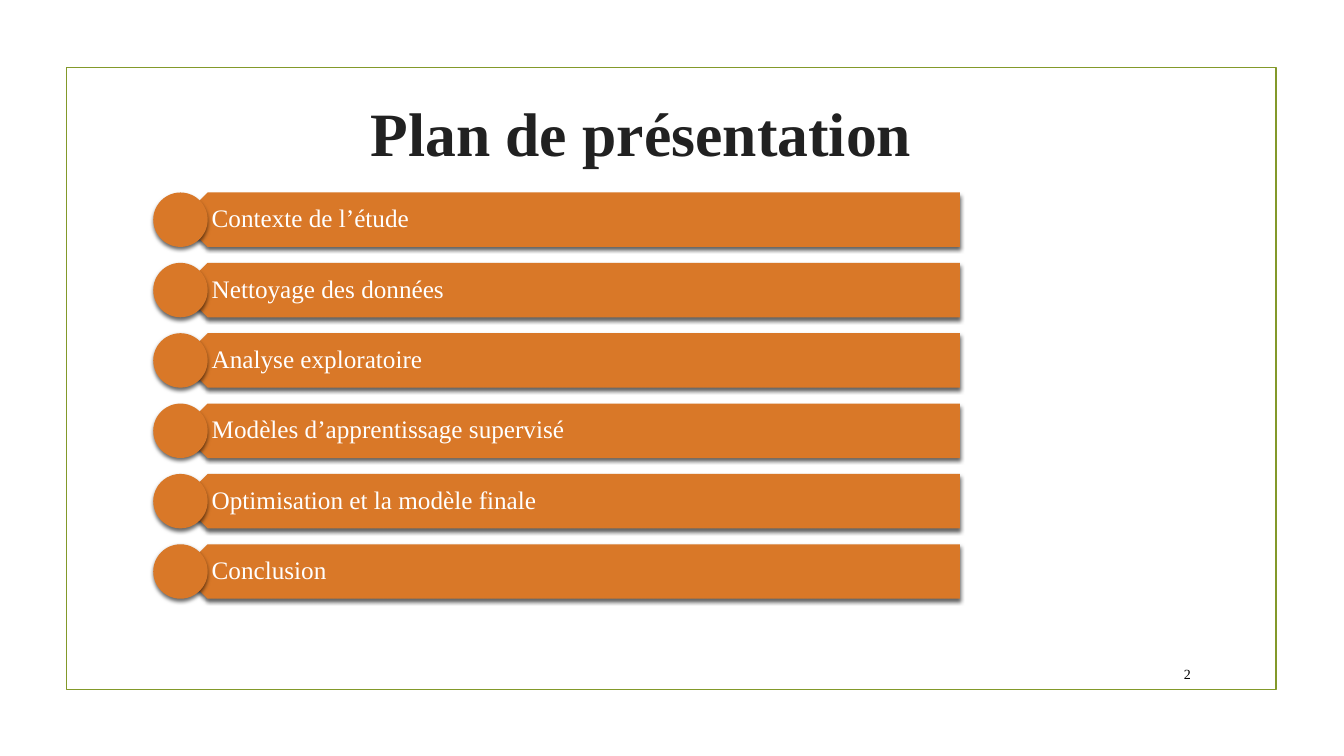
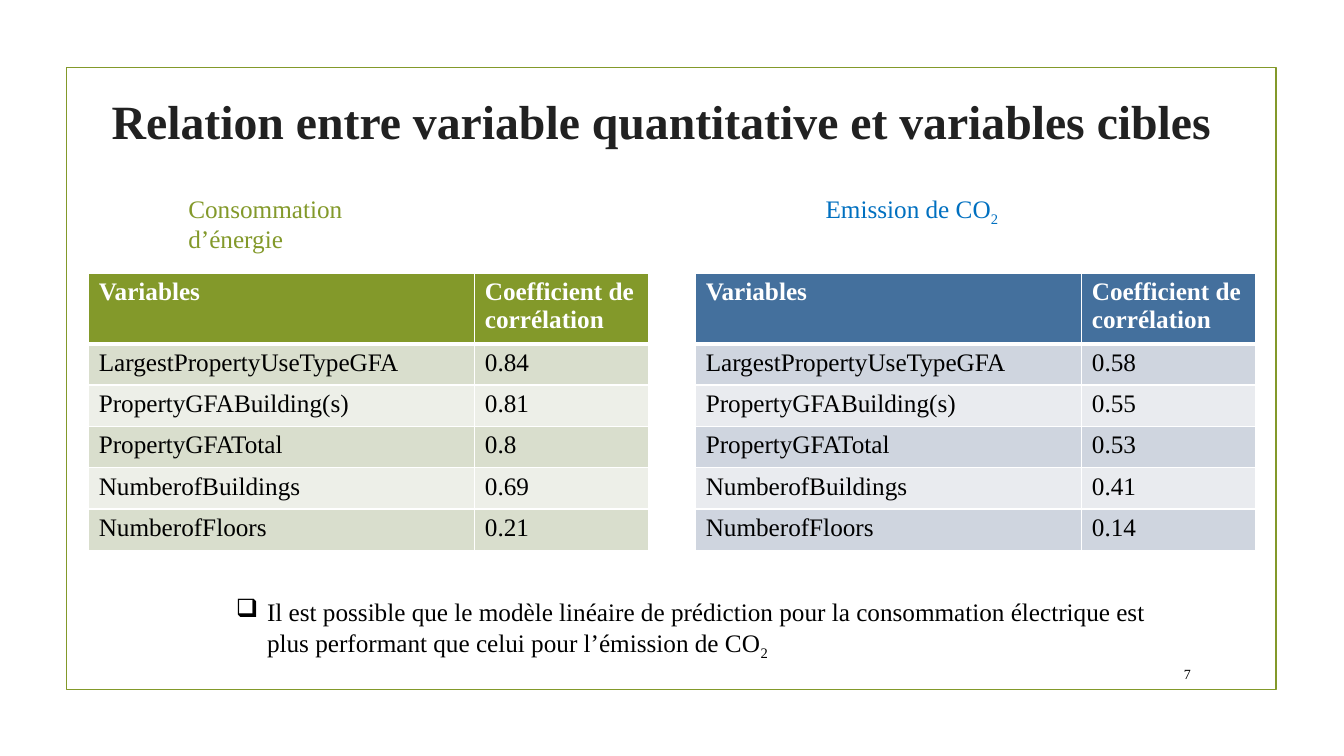
from dataclasses import dataclass

from lxml.etree import SubElement
from pptx import Presentation
from pptx.dml.color import RGBColor
from pptx.enum.shapes import MSO_SHAPE
from pptx.enum.text import MSO_ANCHOR, PP_ALIGN
from pptx.oxml.ns import qn
from pptx.shapes.autoshape import Shape
from pptx.slide import Slide
from pptx.table import _Cell
from pptx.text.text import _Paragraph
from pptx.util import Inches, Pt

FONT = "Times New Roman"
GREEN, BLUE, ORANGE = "83992A", "44709D", "D97828"
BRIGHT_BLUE, INK, BLACK, WHITE = "0070C0", "212121", "000000", "FFFFFF"

AGENDA = [
    "Contexte de l’étude",
    "Nettoyage des données",
    "Analyse exploratoire",
    "Modèles d’apprentissage supervisé",
    "Optimisation et la modèle finale",
    "Conclusion",
]
HEADERS = ("Variables", "Coefficient de corrélation")
VARIABLES = [
    "LargestPropertyUseTypeGFA",
    "PropertyGFABuilding(s)",
    "PropertyGFATotal",
    "NumberofBuildings",
    "NumberofFloors",
]
CONCLUSION = (
    "Il est possible que le modèle linéaire de prédiction pour la consommation "
    "électrique est plus performant que celui pour l’émission de CO"
)


@dataclass(frozen=True)
class Box:
    left: float
    top: float
    width: float
    height: float

    def lengths(self) -> tuple:
        return tuple(Inches(v) for v in (self.left, self.top, self.width, self.height))


@dataclass(frozen=True)
class TextStyle:
    size: float
    color: str
    bold: bool = False
    align: PP_ALIGN = PP_ALIGN.LEFT


@dataclass(frozen=True)
class CorrelationPanel:
    heading: str
    subscript: str
    heading_box: Box
    heading_color: str
    table_left: float
    header_height: float
    header_color: str
    band_colors: tuple[str, str]
    coefficients: tuple[str, ...]


PANELS = [
    CorrelationPanel(
        "Consommation d’énergie", "", Box(1.77, 1.87, 2.66, 0.4), GREEN,
        0.88, 0.65, GREEN, ("D9DECD", "EDEFE8"),
        ("0.84", "0.81", "0.8", "0.69", "0.21"),
    ),
    CorrelationPanel(
        "Emission de CO", "2", Box(8.09, 1.87, 1.95, 0.4), BRIGHT_BLUE,
        6.9, 0.69, BLUE, ("CFD5DF", "E9EBEF"),
        ("0.58", "0.55", "0.53", "0.41", "0.14"),
    ),
]


def rgb(color: str) -> RGBColor:
    return RGBColor.from_string(color)


def write(paragraph: _Paragraph, text: str, style: TextStyle, subscript: str = "") -> None:
    paragraph.text = text
    paragraph.alignment = style.align
    if subscript:
        run = paragraph.add_run()
        run.text = subscript
        run.font._element.set("baseline", "-25000")
    for run in paragraph.runs:
        run.font.name = FONT
        run.font.size = Pt(style.size)
        run.font.bold = style.bold
        run.font.color.rgb = rgb(style.color)


def add_text(slide: Slide, box: Box, text: str, style: TextStyle, subscript: str = "") -> Shape:
    shape = slide.shapes.add_textbox(*box.lengths())
    shape.text_frame.word_wrap = True
    write(shape.text_frame.paragraphs[0], text, style, subscript)
    return shape


def add_base_slide(presentation: Presentation, title: str, title_box: Box,
                   title_style: TextStyle, number: str) -> Slide:
    slide = presentation.slides.add_slide(presentation.slide_layouts[6])
    frame = slide.shapes.add_shape(MSO_SHAPE.RECTANGLE, *Box(0.66, 0.67, 12, 6.17).lengths())
    frame.shadow.inherit = False
    frame.fill.background()
    frame.line.color.rgb = rgb(GREEN)
    frame.line.width = Pt(1.25)
    heading = add_text(slide, title_box, title, title_style)
    heading.text_frame.margin_top = Inches(0.12)
    footer = add_text(slide, Box(11.32, 6.53, 0.59, 0.31), number,
                      TextStyle(10, BLACK, align=PP_ALIGN.RIGHT))
    footer.text_frame.vertical_anchor = MSO_ANCHOR.MIDDLE
    return slide


def paint_with_shadow(shape: Shape, color: str) -> None:
    shape.fill.solid()
    shape.fill.fore_color.rgb = rgb(color)
    shape.line.fill.background()
    shape.shadow.inherit = False
    effects = shape._element.spPr.find(qn("a:effectLst"))
    shadow = SubElement(effects, qn("a:outerShdw"), blurRad=str(Pt(3)), dist=str(Pt(2)),
                        dir="5400000", algn="ctr", rotWithShape="0")
    shadow_color = SubElement(shadow, qn("a:srgbClr"), val=BLACK)
    SubElement(shadow_color, qn("a:alpha"), val="60000")


def add_agenda_item(slide: Slide, top: float, text: str) -> None:
    size, circle_left, right = 0.54, 1.52, 9.52
    tip = circle_left + size / 2
    shoulder = tip + size / 2
    middle, bottom = top + size / 2, top + size
    outline = [(shoulder, bottom), (tip, middle), (shoulder, top), (right, top)]
    builder = slide.shapes.build_freeform(Inches(right), Inches(bottom))
    builder.add_line_segments([(Inches(x), Inches(y)) for x, y in outline], close=True)
    bar = builder.convert_to_shape()
    paint_with_shadow(bar, ORANGE)
    text_frame = bar.text_frame
    text_frame.word_wrap = True
    text_frame.vertical_anchor = MSO_ANCHOR.MIDDLE
    text_frame.margin_left, text_frame.margin_right = Inches(0.31), Inches(0.12)
    text_frame.margin_top = text_frame.margin_bottom = Inches(0.07)
    write(text_frame.paragraphs[0], text, TextStyle(18, WHITE))
    text_frame.paragraphs[0].line_spacing = 0.9
    circle = slide.shapes.add_shape(MSO_SHAPE.OVAL, *Box(circle_left, top, size, size).lengths())
    paint_with_shadow(circle, ORANGE)


def format_cell(cell: _Cell, text: str, style: TextStyle, fill: str,
                top_width: float, bottom_width: float) -> None:
    properties = cell._tc.get_or_add_tcPr()
    for side, width in (("L", 1), ("R", 1), ("T", top_width), ("B", bottom_width)):
        border = SubElement(properties, qn(f"a:ln{side}"), w=str(Pt(width)))
        SubElement(SubElement(border, qn("a:solidFill")), qn("a:srgbClr"), val=WHITE)
    cell.fill.solid()
    cell.fill.fore_color.rgb = rgb(fill)
    write(cell.text_frame.paragraphs[0], text, style)


def add_correlation_panel(slide: Slide, panel: CorrelationPanel) -> None:
    add_text(slide, panel.heading_box, panel.heading,
             TextStyle(18, panel.heading_color), panel.subscript)
    rows = [HEADERS, *zip(VARIABLES, panel.coefficients)]
    box = Box(panel.table_left, 2.71, 5.55, 2.73)
    table = slide.shapes.add_table(len(rows), len(HEADERS), *box.lengths()).table
    for column, width in zip(table.columns, (3.83, 1.72)):
        column.width = Inches(width)
    for row_index, values in enumerate(rows):
        is_header = row_index == 0
        table.rows[row_index].height = Inches(panel.header_height if is_header else 0.41)
        fill = panel.header_color if is_header else panel.band_colors[(row_index - 1) % 2]
        style = TextStyle(18, WHITE if is_header else BLACK, is_header)
        for column_index, text in enumerate(values):
            format_cell(table.cell(row_index, column_index), text, style, fill,
                        3 if row_index == 1 else 1, 3 if is_header else 1)


def add_bullet(paragraph: _Paragraph, character: str, indent: float) -> None:
    properties = paragraph._p.get_or_add_pPr()
    properties.set("marL", str(Inches(indent)))
    properties.set("indent", str(-Inches(indent)))
    SubElement(properties, qn("a:buChar"), char=character)


def build_agenda(presentation: Presentation) -> None:
    slide = add_base_slide(presentation, "Plan de présentation", Box(0.7, 0.82, 11.32, 1.09),
                           TextStyle(44, INK, True, PP_ALIGN.CENTER), "2")
    first_top, last_top = 1.91, 5.4
    pitch = (last_top - first_top) / (len(AGENDA) - 1)
    for index, text in enumerate(AGENDA):
        add_agenda_item(slide, first_top + index * pitch, text)


def build_correlations(presentation: Presentation) -> None:
    slide = add_base_slide(presentation, "Relation entre variable quantitative et variables cibles",
                           Box(1.01, 0.79, 11.32, 1.09), TextStyle(34.1, INK, True), "7")
    for panel in PANELS:
        add_correlation_panel(slide, panel)
    note = add_text(slide, Box(2.24, 5.87, 9.42, 0.71), CONCLUSION, TextStyle(18, BLACK), "2")
    add_bullet(note.text_frame.paragraphs[0], "❑", 0.31)


def main() -> None:
    presentation = Presentation()
    presentation.slide_width = Inches(13.33)
    presentation.slide_height = Inches(7.5)
    build_agenda(presentation)
    build_correlations(presentation)
    presentation.save("out.pptx")


if __name__ == "__main__":
    main()
